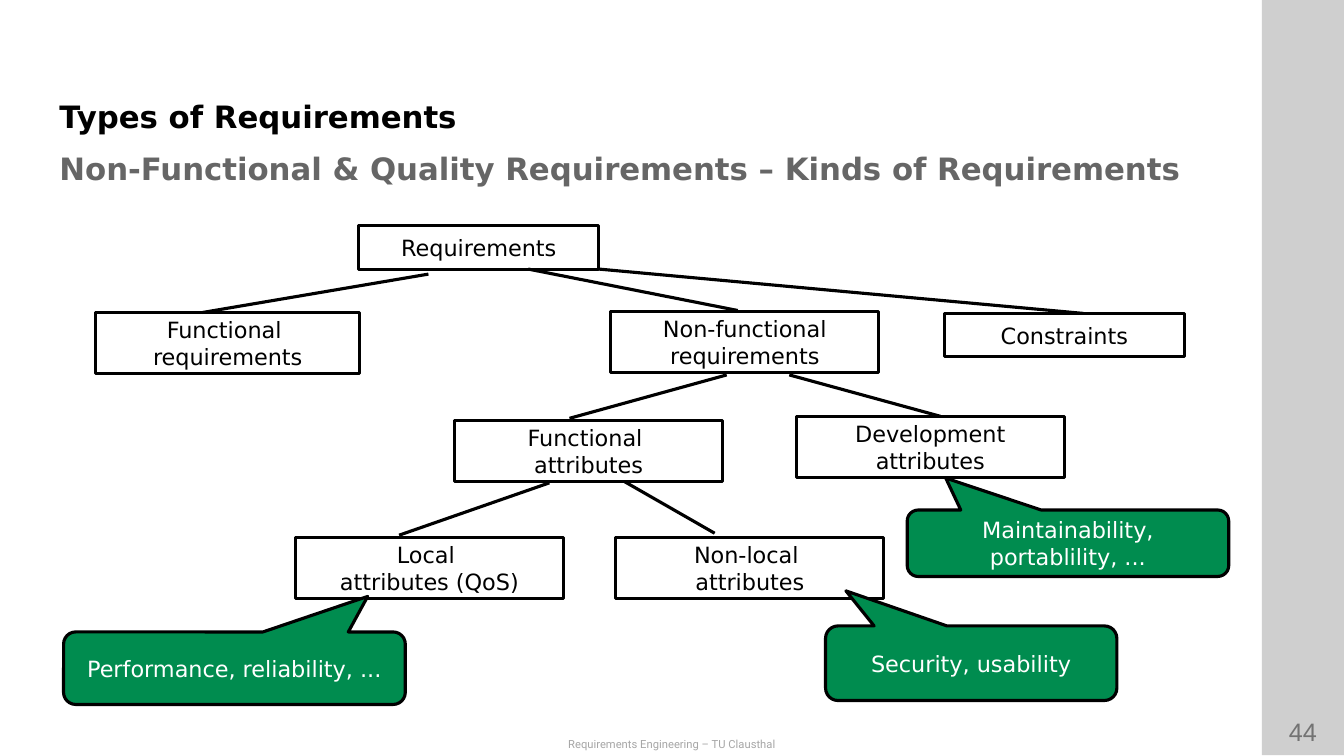
from dataclasses import dataclass

from lxml import etree
from pptx import Presentation
from pptx.dml.color import RGBColor
from pptx.enum import shapes, text
from pptx.oxml import ns
from pptx.util import Pt

BLACK = RGBColor(0x00, 0x00, 0x00)
WHITE = RGBColor(0xFF, 0xFF, 0xFF)
GREEN = RGBColor(0x00, 0x8C, 0x4F)
DARK = RGBColor(0x66, 0x66, 0x66)
GREY = RGBColor(0x73, 0x73, 0x73)
PALE = RGBColor(0xA6, 0xA6, 0xA6)
BAR = RGBColor(0xCF, 0xCF, 0xCF)
SANS = "DejaVu Sans"
STROKE = 2.25
LOW, HIGH = 31, 43.9
SLIM, WIDE = 171.4, 191.5


@dataclass
class Node:
    label: str
    left: float
    top: float
    width: float = WIDE
    height: float = HIGH


@dataclass
class Callout(Node):
    tip_x: float = 0
    tip_y: float = 0


@dataclass
class Edge:
    x1: float
    y1: float
    x2: float
    y2: float


NODES = [
    Node("Requirements", 256.3, 161.3, SLIM, LOW),
    Node("Functional \vrequirements", 68.4, 223.2, 188.6),
    Node("Non-functional\vrequirements", 436.3, 222.5),
    Node("Constraints", 674.6, 223.9, SLIM, LOW),
    Node("Functional \vattributes", 324.7, 300.2),
    Node("Development\vattributes", 568.8, 297.4),
    Node("Local \vattributes (QoS)", 211, 383.8),
    Node("Non-local \vattributes", 439.9, 383.8),
]
EDGES = [
    Edge(144.7, 223.2, 306, 195.8),
    Edge(527, 221.8, 377.3, 192.2),
    Edge(427.7, 192.2, 774, 223.9),
    Edge(406.8, 298.8, 519.1, 267.8),
    Edge(671.8, 297.4, 563.8, 267.8),
    Edge(285.1, 382.3, 392.4, 344.9),
    Edge(510.5, 380.9, 446.4, 344.2),
]
CALLOUTS = [
    Callout("Performance, reliability, ...", 45.4, 451.4, 244.1, 51.8, 0.39, -0.99),
    Callout("Security, usability", 589.7, 447.1, 208.1, 53.3, -0.43, -0.97),
    Callout("Maintainability, portablility, ...", 648, 364.3, 229.7, 47.5, -0.38, -0.98),
]


def write(shape, words: str, size: float, color: RGBColor, font: str = SANS,
          bold: bool = False, align=text.PP_ALIGN.CENTER,
          anchor=text.MSO_ANCHOR.MIDDLE, wrap: bool = True) -> None:
    frame = shape.text_frame
    frame.text = words
    frame.word_wrap = wrap
    frame.auto_size = text.MSO_AUTO_SIZE.NONE
    frame.vertical_anchor = anchor
    for para in frame.paragraphs:
        para.alignment = align
        for run in para.runs:
            run.font.name = font
            run.font.size = Pt(size)
            run.font.bold = bold
            run.font.color.rgb = color


def add_shape(slide, kind, node: Node):
    shape = slide.shapes.add_shape(
        kind, Pt(node.left), Pt(node.top), Pt(node.width), Pt(node.height))
    shape.shadow.inherit = False
    shape.line.color.rgb = BLACK
    shape.line.width = Pt(STROKE)
    return shape


def add_node(slide, node: Node) -> None:
    shape = add_shape(slide, shapes.MSO_SHAPE.RECTANGLE, node)
    shape.fill.background()
    write(shape, node.label, 16, BLACK, wrap=False)


def add_callout(slide, call: Callout) -> None:
    shape = add_shape(slide, shapes.MSO_SHAPE.ROUNDED_RECTANGULAR_CALLOUT, call)
    shape.adjustments[0] = call.tip_x
    shape.adjustments[1] = call.tip_y
    shape.fill.solid()
    shape.fill.fore_color.rgb = GREEN
    write(shape, call.label, 16, WHITE)


def add_edge(slide, edge: Edge) -> None:
    line = slide.shapes.add_connector(
        shapes.MSO_CONNECTOR.STRAIGHT,
        Pt(edge.x1), Pt(edge.y1), Pt(edge.x2), Pt(edge.y2))
    line.line.color.rgb = BLACK
    line.line.width = Pt(STROKE)
    etree.SubElement(line._element.spPr, ns.qn("a:effectLst"))


def add_bar(slide) -> None:
    bar = add_shape(slide, shapes.MSO_SHAPE.RECTANGLE, Node("", 901.4, 0, 58.6, 539.5))
    bar.fill.solid()
    bar.fill.fore_color.rgb = BAR
    bar.line.fill.background()


def add_note(slide, node: Node, size: float, color: RGBColor, font: str) -> None:
    box = slide.shapes.add_textbox(
        Pt(node.left), Pt(node.top), Pt(node.width), Pt(node.height))
    write(box, node.label, size, color, font, anchor=text.MSO_ANCHOR.TOP)


def add_head(shape, words: str, top: float, color: RGBColor, anchor) -> None:
    shape.left, shape.top = Pt(42.5), Pt(top)
    shape.width, shape.height = Pt(815.8), Pt(39.6)
    write(shape, words, 22, color, bold=True, align=text.PP_ALIGN.LEFT, anchor=anchor)
    frame = shape.text_frame
    frame.margin_left = frame.margin_right = 0
    frame.margin_top = frame.margin_bottom = 0


def main() -> None:
    deck = Presentation()
    deck.slide_width, deck.slide_height = Pt(960), Pt(540)
    slide = deck.slides.add_slide(deck.slide_layouts.get_by_name("Title Only"))
    add_bar(slide)
    add_note(slide, Node("44", 900.7, 508.3, 59.8, 28.8), 18, GREY, "Arial")
    add_note(slide, Node("Requirements Engineering – TU Clausthal", 0, 523.4, 960, 16.6),
             8, PALE, "Roboto")
    add_head(slide.shapes.title, "Types of Requirements", 56.9, BLACK,
             text.MSO_ANCHOR.BOTTOM)
    add_head(slide.shapes.add_textbox(0, 0, 0, 0),
             "Non-Functional & Quality Requirements – Kinds of Requirements",
             100.1, DARK, text.MSO_ANCHOR.MIDDLE)
    for node in NODES:
        add_node(slide, node)
    for edge in EDGES:
        add_edge(slide, edge)
    for call in CALLOUTS:
        add_callout(slide, call)
    deck.save("out.pptx")


if __name__ == "__main__":
    main()
